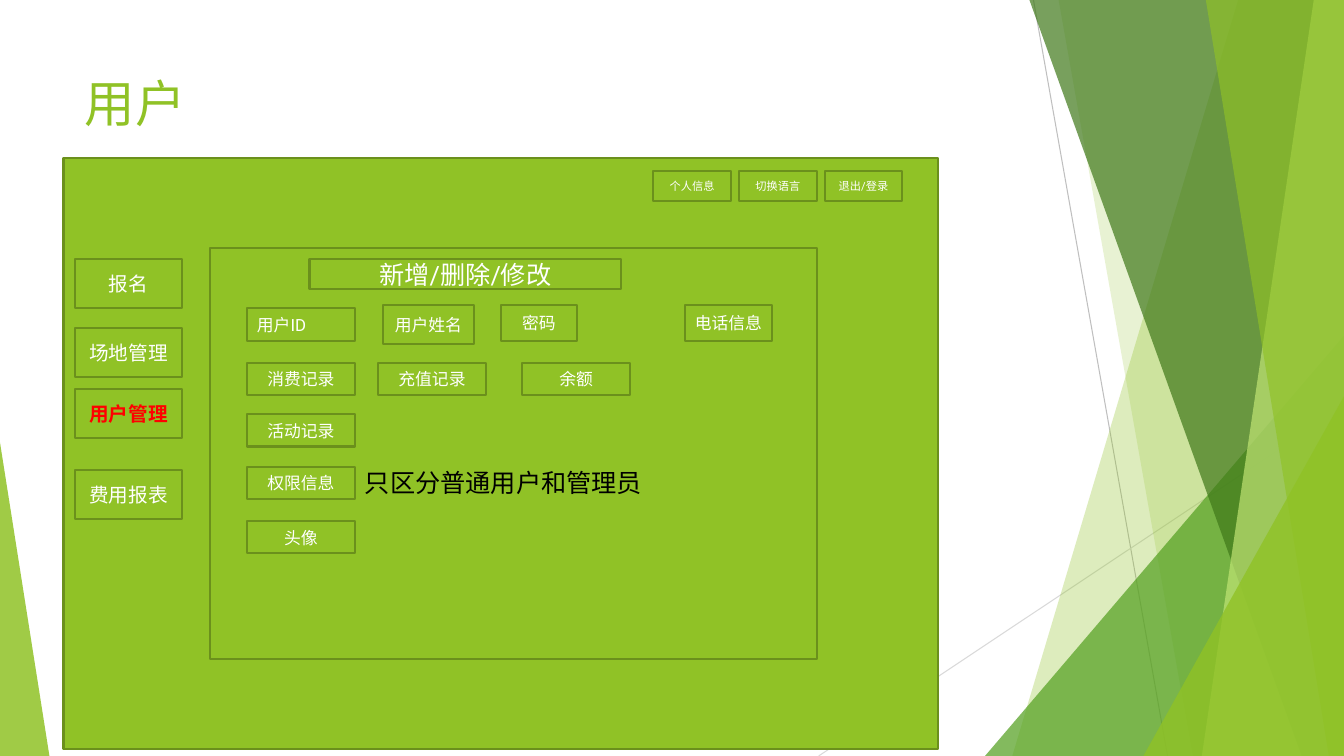
from dataclasses import dataclass

from lxml.etree import SubElement
from pptx import Presentation
from pptx.dml.color import RGBColor
from pptx.enum.shapes import MSO_CONNECTOR as Connector, MSO_SHAPE as Preset
from pptx.enum.text import MSO_ANCHOR as Anchor, MSO_AUTO_SIZE as AutoSize, PP_ALIGN as Align
from pptx.oxml.ns import qn
from pptx.util import Inches, Pt

FONT = "Roboto"
GREEN = "90C226"
OUTLINE = "6B901C"
WHITE = "FFFFFF"
RIGHT, BOTTOM = 13.33, 7.5


@dataclass
class Box:
    left: float
    top: float
    width: float
    height: float
    text: str = ""
    size: float = 12
    color: str = WHITE
    bold: bool = False
    align: Align = Align.CENTER


@dataclass
class Band:
    top_left: float
    bottom_left: float
    color: str
    opacity: int


@dataclass
class Wedge:
    left: float
    top: float
    width: float
    apex: float
    color: str
    opacity: int


def rgb(color: str) -> RGBColor:
    return RGBColor.from_string(color)


def fill_shape(shape, color: str, opacity: int = 100) -> None:
    shape.shadow.inherit = False
    shape.fill.solid()
    shape.fill.fore_color.rgb = rgb(color)
    if opacity < 100:
        color_element = shape.fill._xPr.find(qn("a:solidFill")).find(qn("a:srgbClr"))
        SubElement(color_element, qn("a:alpha")).set("val", str(opacity * 1000))


def add_text(frame, text: str, size: float, color: str, bold: bool = False,
             align: Align = Align.LEFT) -> None:
    paragraph = frame.paragraphs[0]
    paragraph.alignment = align
    run = paragraph.add_run()
    run.text = text
    run.font.name = FONT
    run.font.size = Pt(size)
    run.font.bold = bold
    run.font.color.rgb = rgb(color)


def draw_line(slide, start: tuple[float, float], end: tuple[float, float], color: str) -> None:
    points = [Inches(value) for value in (*start, *end)]
    line = slide.shapes.add_connector(Connector.STRAIGHT, *points)
    line.line.color.rgb = rgb(color)
    line.line.width = Pt(0.75)
    SubElement(line._element.spPr, qn("a:effectLst"))


def draw_band(slide, band: Band) -> None:
    builder = slide.shapes.build_freeform(Inches(band.top_left), 0)
    corners = [(RIGHT, 0), (RIGHT, BOTTOM), (band.bottom_left, BOTTOM)]
    builder.add_line_segments([(Inches(x), Inches(y)) for x, y in corners], close=True)
    shape = builder.convert_to_shape()
    fill_shape(shape, band.color, band.opacity)
    shape.line.fill.background()


def draw_wedge(slide, wedge: Wedge) -> None:
    shape = slide.shapes.add_shape(
        Preset.ISOSCELES_TRIANGLE, Inches(wedge.left), Inches(wedge.top),
        Inches(wedge.width), Inches(BOTTOM - wedge.top))
    shape.adjustments[0] = wedge.apex
    fill_shape(shape, wedge.color, wedge.opacity)
    shape.line.fill.background()


def draw_box(slide, box: Box) -> None:
    shape = slide.shapes.add_shape(
        Preset.RECTANGLE, Inches(box.left), Inches(box.top), Inches(box.width), Inches(box.height))
    fill_shape(shape, GREEN)
    shape.line.color.rgb = rgb(OUTLINE)
    shape.line.width = Pt(1.5)
    if box.text:
        shape.text_frame.vertical_anchor = Anchor.MIDDLE
        add_text(shape.text_frame, box.text, box.size, box.color, box.bold, box.align)


presentation = Presentation()
presentation.slide_width = Inches(RIGHT)
presentation.slide_height = Inches(BOTTOM)
slide = presentation.slides.add_slide(presentation.slide_layouts[5])

draw_line(slide, (10.25, 0), (11.58, BOTTOM), "BFBFBF")
draw_line(slide, (RIGHT, 4.03), (8.12, BOTTOM), "D9D9D9")

decorations = [
    Band(12.28, 10.04, GREEN, 30),
    Band(10.5, 11.83, GREEN, 20),
    Wedge(9.77, 3.33, 3.56, 1, "54A021", 72),
    Band(10.21, 12.91, "3F7819", 70),
    Band(13.03, 11.92, "C0E474", 70),
    Band(11.96, 13.18, GREEN, 65),
    Wedge(11.34, 3.93, 1.99, 1, GREEN, 80),
    Wedge(0, 4.39, 0.49, 0, GREEN, 85),
]
for decoration in decorations:
    if isinstance(decoration, Band):
        draw_band(slide, decoration)
    else:
        draw_wedge(slide, decoration)

title = slide.shapes.title
title.left, title.top, title.width, title.height = map(Inches, (0.74, 0.67, 9.4, 0.9))
title.text_frame.auto_size = AutoSize.NONE
title.text_frame.vertical_anchor = Anchor.TOP
add_text(title.text_frame, "用户", 36, GREEN)

window = Box(0.63, 1.57, 8.67, 5.86)
content_panel = Box(2.08, 2.46, 6.02, 4.08)
top_buttons = [
    Box(6.48 + 0.85 * index, 1.7, 0.77, 0.29, text, 8)
    for index, text in enumerate(["个人信息", "切换语言", "退出/登录"])
]
menu = [
    Box(0.74, top, 1.07, 0.49, text, 14, color, bold)
    for top, text, color, bold in [
        (2.57, "报名", WHITE, False),
        (3.25, "场地管理", WHITE, False),
        (3.86, "用户管理", "FF0000", True),
        (4.66, "费用报表", WHITE, False),
    ]
]
identity_fields = [
    Box(2.45, 3.06, 1.07, 0.32, "用户ID", align=Align.LEFT),
    Box(3.8, 3.03, 0.9, 0.38, "用户姓名"),
    Box(4.97, 3.03, 0.75, 0.35, "密码"),
    Box(6.79, 3.03, 0.87, 0.35, "电话信息"),
]
record_fields = [
    Box(left, top, 1.07, 0.32, text)
    for left, top, text in [
        (2.45, 3.6, "消费记录"),
        (3.75, 3.6, "充值记录"),
        (5.18, 3.6, "余额"),
        (2.45, 4.11, "活动记录"),
        (2.45, 4.63, "权限信息"),
        (2.45, 5.17, "头像"),
    ]
]
actions = Box(3.07, 2.57, 3.09, 0.3, "新增/删除/修改", 18)
for box in [window, *top_buttons, *menu, content_panel, actions, *identity_fields, *record_fields]:
    draw_box(slide, box)

role_note = slide.shapes.add_textbox(Inches(3.52), Inches(4.59), Inches(2.98), Inches(0.4))
role_note.text_frame.word_wrap = False
role_note.text_frame.auto_size = AutoSize.SHAPE_TO_FIT_TEXT
add_text(role_note.text_frame, "只区分普通用户和管理员", 18, "000000")

presentation.save("out.pptx")
